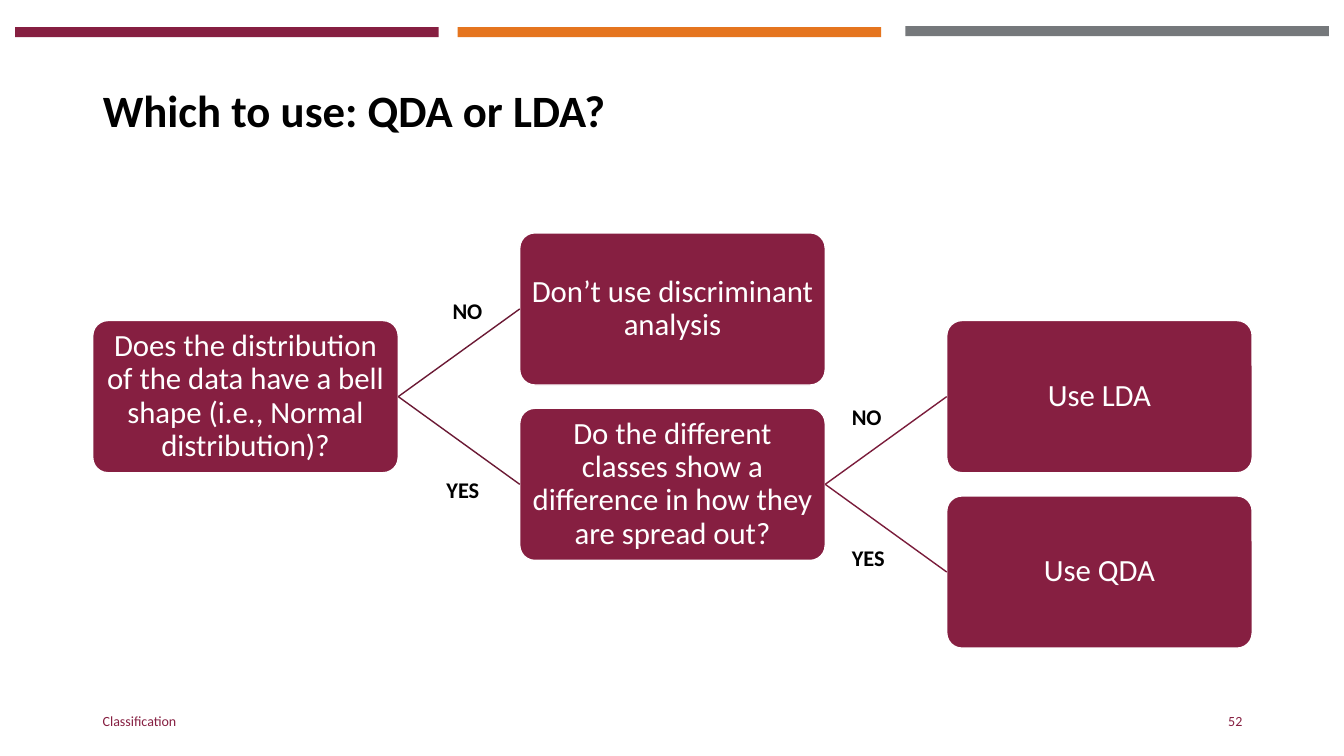
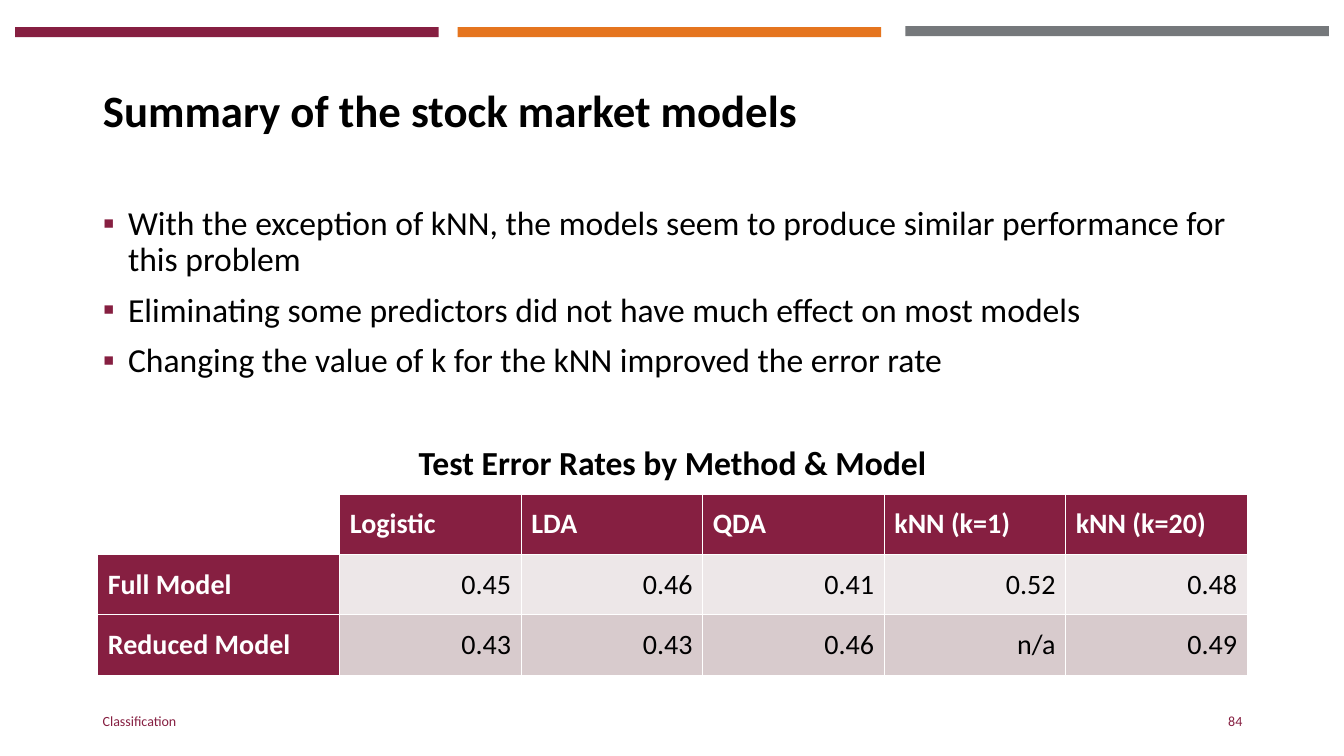
from lxml import etree
from pptx import Presentation
from pptx.dml.color import RGBColor
from pptx.enum.shapes import MSO_CONNECTOR, MSO_SHAPE
from pptx.enum.text import MSO_ANCHOR, MSO_AUTO_SIZE, PP_ALIGN
from pptx.oxml import parse_xml
from pptx.oxml.ns import nsdecls, qn
from pptx.util import Inches, Pt

MAROON = RGBColor(0x86, 0x1F, 0x41)
ORANGE = RGBColor(0xE5, 0x75, 0x1F)
GRAY = RGBColor(0x75, 0x78, 0x7B)
BLACK = RGBColor(0, 0, 0)
WHITE = RGBColor(0xFF, 0xFF, 0xFF)
ROW_TINTS = [RGBColor(0xED, 0xE7, 0xE8), RGBColor(0xD8, 0xCB, 0xCD)]
BRANCH_COLORS = [RGBColor(0x6B, 0x19, 0x34), RGBColor(0x7A, 0x1C, 0x3B)]
FONT = "Calibri"

MARGIN, CONTENT_WIDTH = 0.92, 11.5
BANDS = [(0.15, 0.27, MAROON), (4.54, 0.27, ORANGE), (8.98, 0.26, GRAY)]
FOOTER = "Classification"

# Decision tree: name -> (column, half-row, text)
STEPS = {
    "shape": (0, 1, "Does the distribution of the data have a bell shape "
                    "(i.e., Normal distribution)?"),
    "stop": (1, 0, "Don’t use discriminant analysis"),
    "spread": (1, 2, "Do the different classes show a difference in how they "
                     "are spread out?"),
    "lda": (2, 1, "Use LDA"),
    "qda": (2, 3, "Use QDA"),
}
# (question, outcome, answer, answer left, answer top)
BRANCHES = [
    ("shape", "stop", "NO", 4.39, 2.9),
    ("shape", "spread", "YES", 4.33, 4.67),
    ("spread", "lda", "NO", 8.35, 3.95),
    ("spread", "qda", "YES", 8.35, 5.35),
]
STEP_WIDTH, STEP_HEIGHT = 3.03, 1.51
TREE_TOP, COLUMN_STEP, HALF_ROW = 2.31, 4.235, 0.87

FINDINGS = [
    "With the exception of kNN, the models seem to produce similar "
    "performance for this problem",
    "Eliminating some predictors did not have much effect on most models",
    "Changing the value of k for the kNN improved the error rate",
]
ERROR_RATES = [
    ["Test Error Rates by Method & Model", "", "", "", "", ""],
    ["", "Logistic", "LDA", "QDA", "kNN (k=1)", "kNN (k=20)"],
    ["Full Model", "0.45", "0.46", "0.41", "0.52", "0.48"],
    ["Reduced Model", "0.43", "0.43", "0.46", "n/a", "0.49"],
]
COLUMN_WIDTHS = [2.4] + [1.8] * 5
ROW_HEIGHT = 0.6


def style(paragraph, size, color=BLACK, bold=False, align=PP_ALIGN.LEFT):
    paragraph.alignment = align
    for run in paragraph.runs:
        run.font.name, run.font.size = FONT, Pt(size)
        run.font.bold, run.font.color.rgb = bold, color


def place(shape, left, top, width, height):
    shape.left, shape.top = Inches(left), Inches(top)
    shape.width, shape.height = Inches(width), Inches(height)


def add_label(slide, text, left, top, width, height, size, color=BLACK,
              bold=False, align=PP_ALIGN.LEFT, anchor=MSO_ANCHOR.TOP, wrap=True):
    label = slide.shapes.add_textbox(Inches(left), Inches(top),
                                     Inches(width), Inches(height))
    frame = label.text_frame
    frame.word_wrap, frame.vertical_anchor = wrap, anchor
    frame.text = text
    style(frame.paragraphs[0], size, color, bold, align)


def add_block(slide, kind, left, top, width, height, color):
    block = slide.shapes.add_shape(kind, Inches(left), Inches(top),
                                   Inches(width), Inches(height))
    block.shadow.inherit = False
    block.fill.solid()
    block.fill.fore_color.rgb = color
    block.line.fill.background()
    return block


def start_slide(prs, layout_index, title, number):
    """Add a slide with the shared bands, title and footer."""
    slide = prs.slides.add_slide(prs.slide_layouts[layout_index])
    for left, top, color in BANDS:
        add_block(slide, MSO_SHAPE.RECTANGLE, left, top, 4.2, 0.1, color)
    heading = slide.shapes.title
    place(heading, MARGIN, 0.4, CONTENT_WIDTH, 1.45)
    frame = heading.text_frame
    frame.text = title
    frame.vertical_anchor = MSO_ANCHOR.MIDDLE
    frame.auto_size = MSO_AUTO_SIZE.NONE
    frame.paragraphs[0].line_spacing = 0.9
    style(frame.paragraphs[0], 32, bold=True)
    add_label(slide, FOOTER, MARGIN, 6.95, 4.5, 0.4, 10, MAROON,
              anchor=MSO_ANCHOR.MIDDLE)
    add_label(slide, str(number), 9.42, 6.95, 3, 0.4, 10, MAROON,
              align=PP_ALIGN.RIGHT, anchor=MSO_ANCHOR.MIDDLE)
    return slide


def add_step(slide, column, half_row, text):
    step = add_block(slide, MSO_SHAPE.ROUNDED_RECTANGLE,
                     MARGIN + column * COLUMN_STEP, TREE_TOP + half_row * HALF_ROW,
                     STEP_WIDTH, STEP_HEIGHT, MAROON)
    step.adjustments[0] = 0.1
    step.line.color.rgb, step.line.width = WHITE, Pt(1)
    frame = step.text_frame
    frame.word_wrap, frame.vertical_anchor = True, MSO_ANCHOR.MIDDLE
    frame.margin_left = frame.margin_right = Inches(0.06)
    frame.margin_top = frame.margin_bottom = Inches(0.06)
    frame.text = text
    frame.paragraphs[0].line_spacing = 0.9
    style(frame.paragraphs[0], 22, WHITE, align=PP_ALIGN.CENTER)
    return step


def add_branch(slide, question, outcome, color):
    """Join the right side of the question to the left side of the outcome."""
    branch = slide.shapes.add_connector(MSO_CONNECTOR.STRAIGHT, 0, 0, 0, 0)
    branch.begin_connect(question, 3)
    branch.end_connect(outcome, 1)
    branch.line.color.rgb, branch.line.width = color, Pt(1)
    etree.SubElement(branch._element.spPr, qn("a:effectLst"))


def add_findings(slide):
    body = slide.placeholders[1]
    place(body, MARGIN, 2, CONTENT_WIDTH, 2.2)
    frame = body.text_frame
    frame.text = "\n".join(FINDINGS)
    frame.auto_size = MSO_AUTO_SIZE.NONE
    for index, paragraph in enumerate(frame.paragraphs):
        props = paragraph._p.get_or_add_pPr()
        props.set("marL", str(Inches(0.25)))
        props.set("indent", str(-Inches(0.25)))
        bullet_color = etree.SubElement(props, qn("a:buClr"))
        etree.SubElement(bullet_color, qn("a:srgbClr")).set("val", str(MAROON))
        etree.SubElement(props, qn("a:buChar")).set("char", "▪")
        paragraph.line_spacing = 0.9
        paragraph.space_before = Pt(10 if index else 0)
        style(paragraph, 24)


def cell_look(row, column):
    """Return fill, size, text colour, bold and alignment for a table cell."""
    if row == 0:
        return WHITE, 24, BLACK, True, PP_ALIGN.CENTER
    if row == 1 and column == 0:
        return WHITE, 20, BLACK, False, PP_ALIGN.LEFT
    if row == 1 or column == 0:
        return MAROON, 20, WHITE, True, PP_ALIGN.LEFT
    return ROW_TINTS[row - 2], 20, BLACK, False, PP_ALIGN.RIGHT


def add_error_table(slide):
    table = slide.shapes.add_table(
        len(ERROR_RATES), len(COLUMN_WIDTHS), Inches(0.97), Inches(4.3),
        Inches(sum(COLUMN_WIDTHS)), Inches(ROW_HEIGHT * len(ERROR_RATES))).table
    for column, width in zip(table.columns, COLUMN_WIDTHS):
        column.width = Inches(width)
    for r, values in enumerate(ERROR_RATES):
        table.rows[r].height = Inches(ROW_HEIGHT)
        for c, value in enumerate(values):
            cell = table.cell(r, c)
            fill, size, color, bold, align = cell_look(r, c)
            for side in ("lnL", "lnR", "lnT", "lnB"):
                cell._tc.get_or_add_tcPr().append(parse_xml(
                    f'<a:{side} {nsdecls("a")} w="{Pt(1)}"><a:solidFill>'
                    f'<a:srgbClr val="{WHITE}"/></a:solidFill></a:{side}>'))
            cell.fill.solid()
            cell.fill.fore_color.rgb = fill
            cell.vertical_anchor = MSO_ANCHOR.MIDDLE
            if value:
                cell.text_frame.text = value
                style(cell.text_frame.paragraphs[0], size, color, bold, align)
    table.cell(0, 0).merge(table.cell(0, len(COLUMN_WIDTHS) - 1))


def build_decision_slide(prs):
    slide = start_slide(prs, 5, "Which to use: QDA or LDA?", 52)
    steps = {name: add_step(slide, *step) for name, step in STEPS.items()}
    for question, outcome, answer, left, top in BRANCHES:
        add_branch(slide, steps[question], steps[outcome],
                   BRANCH_COLORS[STEPS[question][0]])
        add_label(slide, answer, left, top, 0.63, 0.37, 16, bold=True, wrap=False)


def build_summary_slide(prs):
    slide = start_slide(prs, 1, "Summary of the stock market models", 84)
    add_findings(slide)
    add_error_table(slide)


def main():
    prs = Presentation()
    prs.slide_width, prs.slide_height = Inches(13.33), Inches(7.5)
    build_decision_slide(prs)
    build_summary_slide(prs)
    prs.save("out.pptx")


if __name__ == "__main__":
    main()
